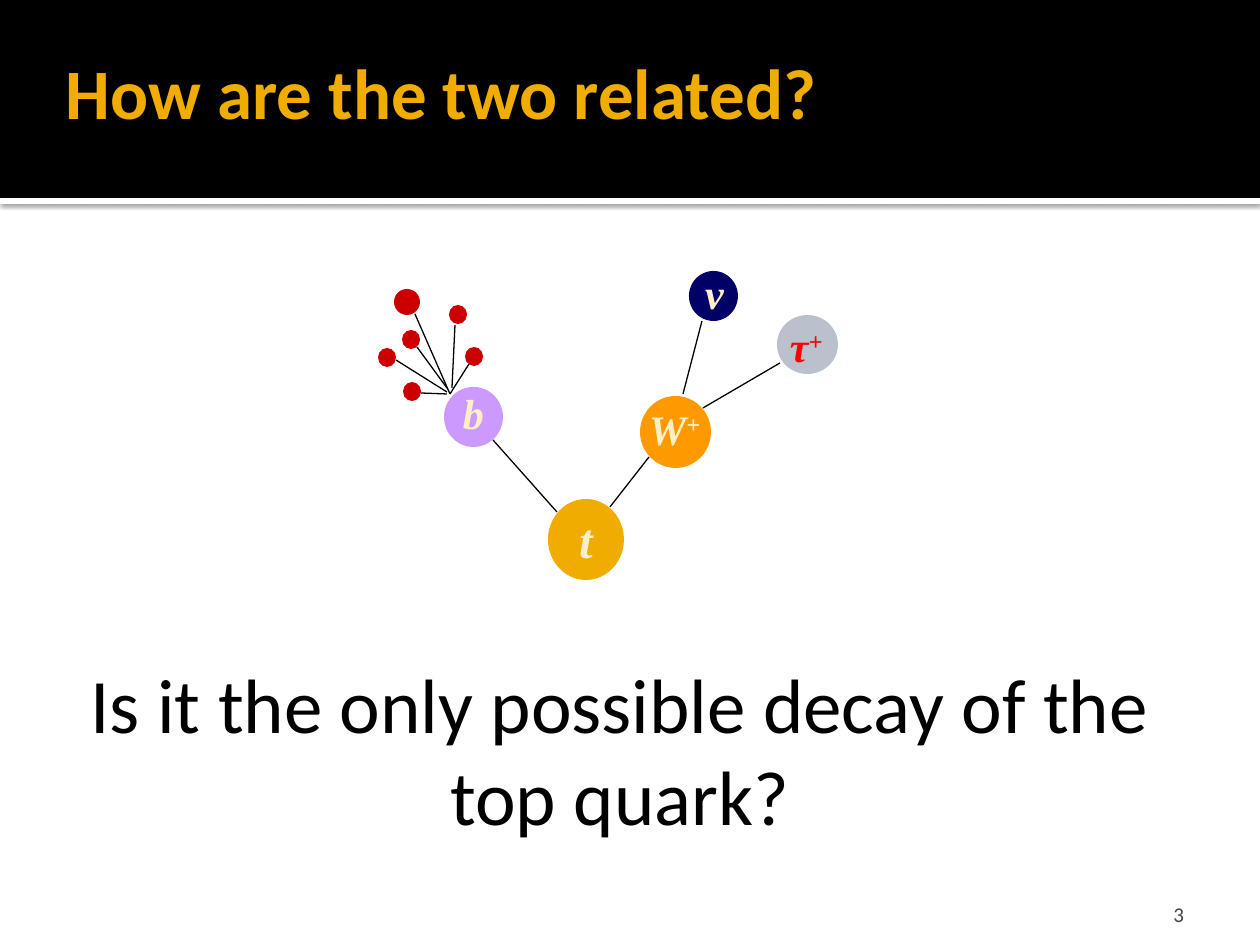
"""Build the slide on how the top quark decays."""
from dataclasses import dataclass

from lxml.etree import SubElement
from pptx import Presentation
from pptx.dml.color import RGBColor
from pptx.enum.shapes import MSO_CONNECTOR, MSO_SHAPE
from pptx.enum.text import MSO_ANCHOR, MSO_AUTO_SIZE, PP_ALIGN
from pptx.oxml import parse_xml
from pptx.oxml.ns import nsdecls, qn
from pptx.util import Inches, Pt


@dataclass(frozen=True)
class Theme:
    black: str = "000000"
    white: str = "FFFFFF"
    gold: str = "F0AD00"
    cream: str = "FEEFC6"
    gray: str = "454545"
    silver: str = "BAC0CC"
    violet: str = "CC99FF"
    orange: str = "FF9900"
    navy: str = "000066"
    crimson: str = "CC0000"
    red: str = "FF0000"
    sans: str = "Calibri"
    serif: str = "Times New Roman"
    title_size: float = 40.5
    question_size: int = 44
    number_size: int = 12
    quark_size: int = 28
    particle_size: int = 24
    line_width: float = 0.75


theme = Theme()
PIXEL = Inches(1) / 126


def to_emu(*pixels):
    return [round(value * PIXEL) for value in pixels]


def write_text(shape, text, superscript="", size=theme.particle_size, color=theme.cream,
               font=theme.serif, bold=False, italic=False, align=PP_ALIGN.LEFT,
               anchor=MSO_ANCHOR.TOP, wrap=True, insets=(13, 6, 13, 6)):
    frame = shape.text_frame
    frame.auto_size = MSO_AUTO_SIZE.NONE
    frame.word_wrap = wrap
    frame.vertical_anchor = anchor
    frame.margin_left, frame.margin_top, frame.margin_right, frame.margin_bottom = to_emu(*insets)
    paragraph = frame.paragraphs[0]
    paragraph.alignment = align
    for content in filter(None, (text, superscript)):
        run = paragraph.add_run()
        run.text = content
        run.font.size = Pt(size)
        run.font.name = font
        run.font.bold = bold
        run.font.italic = italic
        run.font.color.rgb = RGBColor.from_string(color)
    if superscript:
        run.font._element.set("baseline", "30000")


presentation = Presentation()
presentation.slide_width, presentation.slide_height = Inches(10), Inches(7.5)
slide = presentation.slides.add_slide(presentation.slide_layouts[5])

dots = [(465, 347, 18, 19), (449, 305, 18, 19), (402, 330, 18, 19),
        (378, 348, 18, 19), (403, 382, 18, 19), (394, 289, 26, 26)]
filled_shapes = [
    (MSO_SHAPE.RECTANGLE, (0, 198, 1260, 6), theme.white),
    (MSO_SHAPE.RECTANGLE, (0, 0, 1260, 198), theme.black),
    (MSO_SHAPE.OVAL, (777, 315, 61, 59), theme.silver),
    (MSO_SHAPE.OVAL, (548, 499, 76, 81), theme.gold),
    (MSO_SHAPE.OVAL, (444, 387, 59, 60), theme.violet),
    (MSO_SHAPE.OVAL, (640, 396, 71, 72), theme.orange),
    (MSO_SHAPE.OVAL, (689, 271, 49, 50), theme.navy),
] + [(MSO_SHAPE.OVAL, dot, theme.crimson) for dot in dots]
drawn_shapes = []
for preset, box, color in filled_shapes:
    shape = slide.shapes.add_shape(preset, *to_emu(*box))
    shape.shadow.inherit = False
    shape.fill.solid()
    shape.fill.fore_color.rgb = RGBColor.from_string(color)
    shape.line.fill.background()
    drawn_shapes.append(shape)

stripe_effects = drawn_shapes[0]._element.spPr.find(qn("a:effectLst"))
stripe_effects.append(parse_xml(
    f'<a:outerShdw {nsdecls("a")} blurRad="{Pt(2.5)}" dist="{Pt(0.8)}" dir="5400000" '
    f'rotWithShape="0"><a:srgbClr val="{theme.black}"><a:alpha val="60000"/></a:srgbClr>'
    '</a:outerShdw>'))

decay_lines = [
    (610, 507, 649, 457), (683, 394, 702, 321), (703, 408, 780, 363), (557, 512, 493, 440),
    (447, 394, 421, 393), (447, 392, 396, 360), (447, 388, 417, 347),
    (450, 394, 415, 314), (452, 388, 455, 325), (450, 394, 469, 364),
]
for ends in decay_lines:
    connector = slide.shapes.add_connector(MSO_CONNECTOR.STRAIGHT, *to_emu(*ends))
    connector.line.color.rgb = RGBColor.from_string(theme.black)
    connector.line.width = Pt(theme.line_width)
    SubElement(connector._element.spPr, qn("a:effectLst"))

particle_labels = [
    ((566, 503, 59, 72), "t", {"size": theme.quark_size}),
    ((636, 398, 78, 63), "W", {"superscript": "+", "wrap": False}),
    ((450, 382, 73, 63), "b", {}),
    ((692, 262, 44, 63), "ν", {"wrap": False}),
    ((777, 315, 60, 63), "τ", {"superscript": "+", "color": theme.red, "wrap": False}),
]
for box, symbol, text_format in particle_labels:
    label = slide.shapes.add_textbox(*to_emu(*box))
    write_text(label, symbol, bold=True, italic=True, **text_format)

title = slide.shapes.title
title.left, title.top, title.width, title.height = to_emu(53, 57, 1134, 69)
slide.shapes._spTree.append(title._element)
write_text(title, "How are the two related?", size=theme.title_size, color=theme.gold,
           font=theme.sans, bold=True, anchor=MSO_ANCHOR.MIDDLE, insets=(13, 6, 6, 6))

question = slide.shapes.add_textbox(*to_emu(53, 714, 1134, 69))
write_text(question, "Is it the only possible decay of the top quark?",
           size=theme.question_size, color=theme.black, font=theme.sans,
           align=PP_ALIGN.CENTER, anchor=MSO_ANCHOR.MIDDLE)

slide_number = slide.shapes.add_textbox(*to_emu(903, 861, 294, 66))
write_text(slide_number, "3", size=theme.number_size, color=theme.gray, font=theme.sans,
           align=PP_ALIGN.RIGHT, anchor=MSO_ANCHOR.BOTTOM, insets=(13, 6, 13, 0))

presentation.save("out.pptx")
